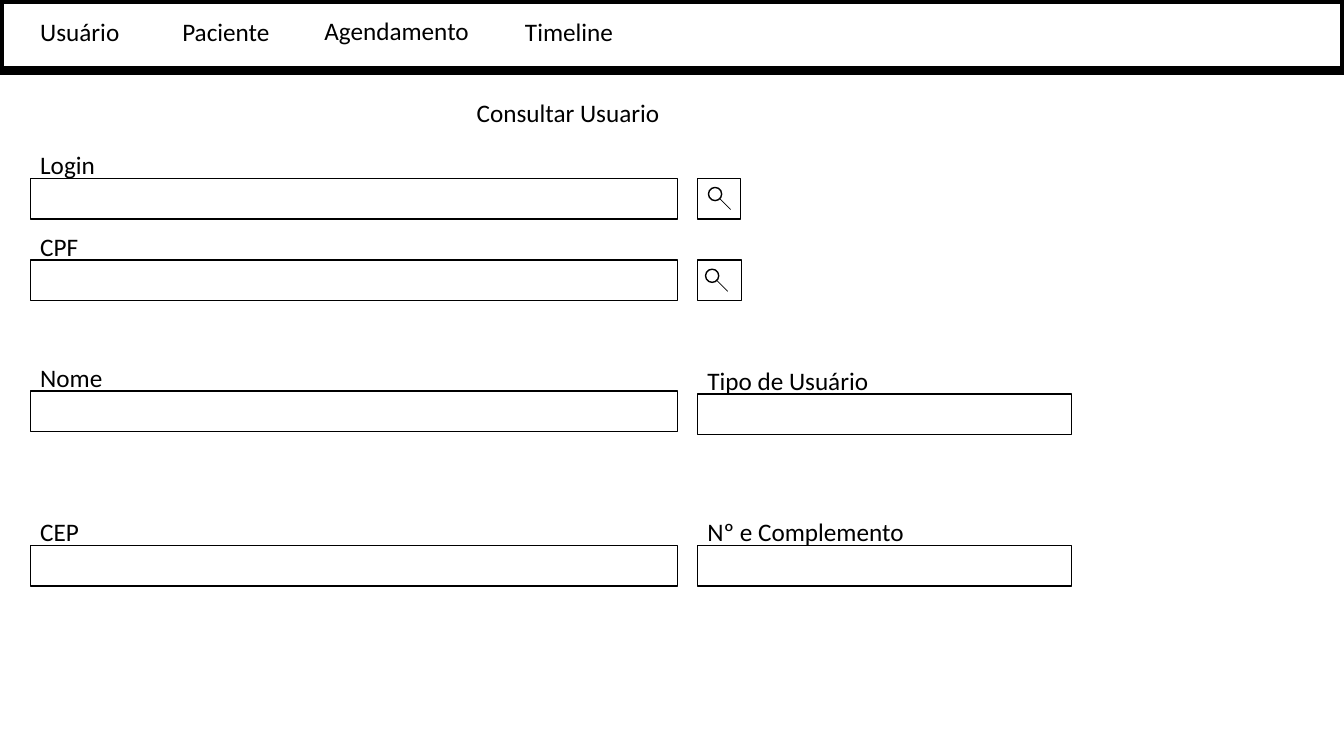
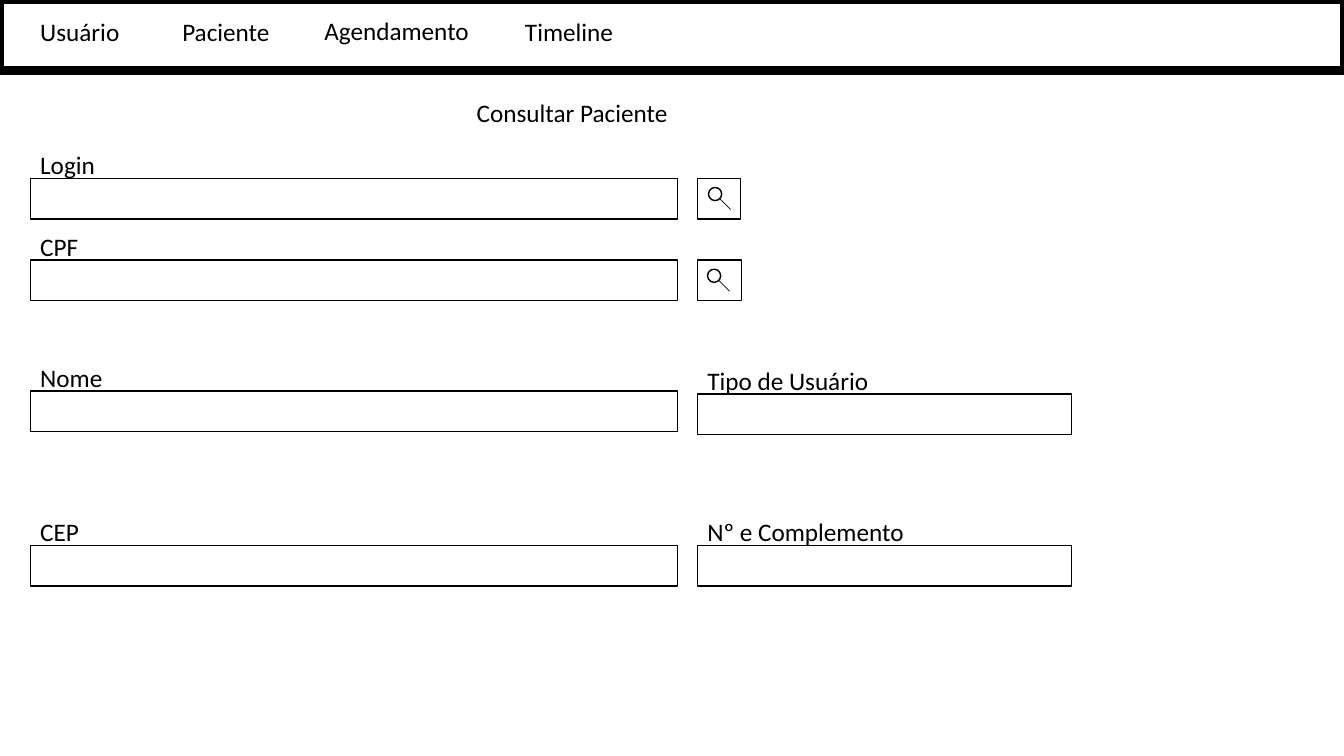
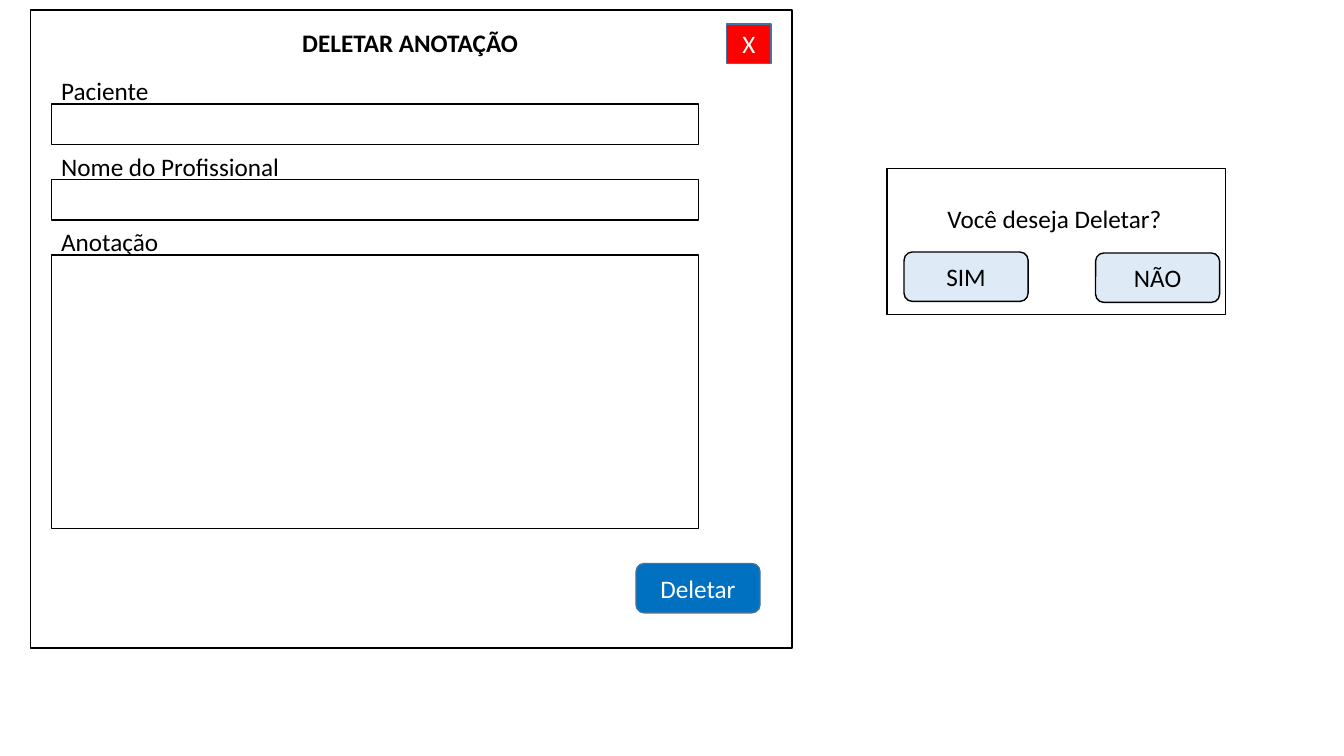
from lxml.etree import SubElement
from pptx import Presentation
from pptx.dml.color import RGBColor
from pptx.enum.shapes import MSO_CONNECTOR, MSO_SHAPE
from pptx.enum.text import MSO_ANCHOR, MSO_AUTO_SIZE, PP_ALIGN
from pptx.oxml.ns import qn
from pptx.util import Pt

# Shared style, lengths in points
FONT, TEXT_SIZE = "Calibri", 18
BLACK, WHITE, RED = "000000", "FFFFFF", "FF0000"
BLUE, PALE_BLUE, STEEL = "0070C0", "DEEBF7", "43739E"
SLIDE_WIDTH, SLIDE_HEIGHT = 960, 540
MARGIN = 21.6
LABEL_HEIGHT, LABEL_RISE = 29, 24
FIELD_WIDTH, FIELD_HEIGHT = 462.2, 29
SIDE_OFFSET, SIDE_WIDTH, SIDE_LABEL_WIDTH = 476.6, 267.1, 176.4
BUTTON_WIDTH, BUTTON_HEIGHT = 88.6, 35.3

# Menu entries: text, left, top, width
MENU = [
    ("Usuário", 21.6, 7.9, 71.3),
    ("Paciente", 123.1, 7.9, 77.8),
    ("Agendamento", 224.6, 7.2, 118.8),
    ("Timeline", 367.9, 7.9, 78.5),
]


def rgb(hex_color):
    return RGBColor.from_string(hex_color)


def write(frame, text, color=BLACK, bold=False):
    run = frame.paragraphs[0].add_run()
    run.text = text
    run.font.name, run.font.size = FONT, Pt(TEXT_SIZE)
    run.font.bold = bold
    run.font.color.rgb = rgb(color)


def box(shapes, left, top, width, height, fill=WHITE, line=BLACK,
        weight=1, kind=MSO_SHAPE.RECTANGLE):
    shape = shapes.add_shape(kind, Pt(left), Pt(top), Pt(width), Pt(height))
    shape.shadow.inherit = False
    shape.fill.solid()
    shape.fill.fore_color.rgb = rgb(fill)
    shape.line.color.rgb = rgb(line)
    shape.line.width = Pt(weight)
    return shape


def label(shapes, text, left, top, width, bold=False, wrap=False):
    frame = shapes.add_textbox(Pt(left), Pt(top), Pt(width),
                               Pt(LABEL_HEIGHT)).text_frame
    frame.word_wrap = wrap
    frame.auto_size = MSO_AUTO_SIZE.SHAPE_TO_FIT_TEXT
    write(frame, text, bold=bold)


def button(shapes, text, left, top, fill, line, color, width=BUTTON_WIDTH,
           height=BUTTON_HEIGHT, kind=MSO_SHAPE.ROUNDED_RECTANGLE):
    frame = box(shapes, left, top, width, height, fill, line,
                kind=kind).text_frame
    frame.vertical_anchor = MSO_ANCHOR.MIDDLE
    frame.paragraphs[0].alignment = PP_ALIGN.CENTER
    write(frame, text, color)


def field(shapes, text, left, top, label_width, width=FIELD_WIDTH,
          height=FIELD_HEIGHT, wrap=False):
    label(shapes, text, left, top - LABEL_RISE, label_width, wrap=wrap)
    box(shapes, left, top, width, height)


def search_button(shapes, left, top, width, icon_left):
    box(shapes, left, top, width, FIELD_HEIGHT)
    # Magnifier: lens and handle
    magnifier = shapes.add_group_shape().shapes
    x, y = left + icon_left, top + 6.5
    box(magnifier, x, y, 9.4, 9.4, kind=MSO_SHAPE.OVAL)
    handle = magnifier.add_connector(
        MSO_CONNECTOR.STRAIGHT, Pt(x + 7.9), Pt(y + 7.9),
        Pt(x + 15.8), Pt(y + 15.8))
    handle.line.color.rgb = rgb(BLACK)
    handle.line.width = Pt(0.5)
    SubElement(handle.line._get_or_add_ln().getparent(), qn("a:effectLst"))


def menu_bar(shapes, left, top):
    box(shapes, left, top, SLIDE_WIDTH, 50.4, weight=6)
    for text, x, y, width in MENU:
        label(shapes, text, left + x, top + y, width)


def search_form(shapes, left, top, cpf_icon_left):
    # Main column
    for text, y, label_width in [("Login", 0, 54), ("CPF", 58.4, 41.8),
                                 ("Nome", 152, 59.8), ("CEP", 262.1, 42.5)]:
        field(shapes, text, left, top + y, label_width)
    # Side column
    side = left + SIDE_OFFSET
    for text, y in [("Tipo de Usuário", 154.1), ("Nº e Complemento", 262.1)]:
        field(shapes, text, side, top + y, SIDE_LABEL_WIDTH, SIDE_WIDTH,
              wrap=True)
    search_button(shapes, side, top, 31, 7.9)
    search_button(shapes, side, top + 58.4, 31.7, cpf_icon_left)


def search_slide(shapes, title, title_width, cpf_icon_left):
    menu_bar(shapes, 0, 0)
    label(shapes, title, 333.4, 66.2, title_width)
    search_form(shapes, MARGIN, 127.4, cpf_icon_left)


def note_dialog(shapes, left, top):
    box(shapes, left, top, 544.3, 455.8)
    fields = [("Paciente", 77.8, FIELD_HEIGHT),
              ("Nome do Profissional", 172.1, FIELD_HEIGHT),
              ("Anotação", 84.2, 195.1)]
    for row, (text, label_width, height) in enumerate(fields):
        field(shapes, text, left + 15, top + 67 + 54 * row, label_width,
              height=height)
    label(shapes, "DELETAR ANOTAÇÃO", left + 187.2, top + 8.6, 170, bold=True)
    button(shapes, "X", left + 497.5, top + 10.1, RED, STEEL, WHITE,
           31.7, 28, MSO_SHAPE.RECTANGLE)
    button(shapes, "Deletar", left + 432.7, top + 395.3, BLUE, STEEL, WHITE)


def confirm_dialog(shapes, left, top):
    box(shapes, left, top, 241.9, 104.4)
    label(shapes, "Você deseja Deletar?", left + 36, top + 21.6, 175.7)
    for text, x, y in [("SIM", 12.2, 59.8), ("NÃO", 149, 60.5)]:
        button(shapes, text, left + x, top + y, PALE_BLUE, BLACK, BLACK)


def main():
    deck = Presentation()
    deck.slide_width, deck.slide_height = Pt(SLIDE_WIDTH), Pt(SLIDE_HEIGHT)
    blank = deck.slide_layouts[6]

    # Search screens
    for title, title_width, cpf_icon_left in [
            ("Consultar Usuario", 146.2, 5.8),
            ("Consultar Paciente", 152.6, 7.2)]:
        search_slide(deck.slides.add_slide(blank).shapes, title, title_width,
                     cpf_icon_left)

    # Delete screen
    shapes = deck.slides.add_slide(blank).shapes
    note_dialog(shapes, MARGIN, 7.2)
    confirm_dialog(shapes, 633.6, 120.2)

    deck.save("out.pptx")


if __name__ == "__main__":
    main()
